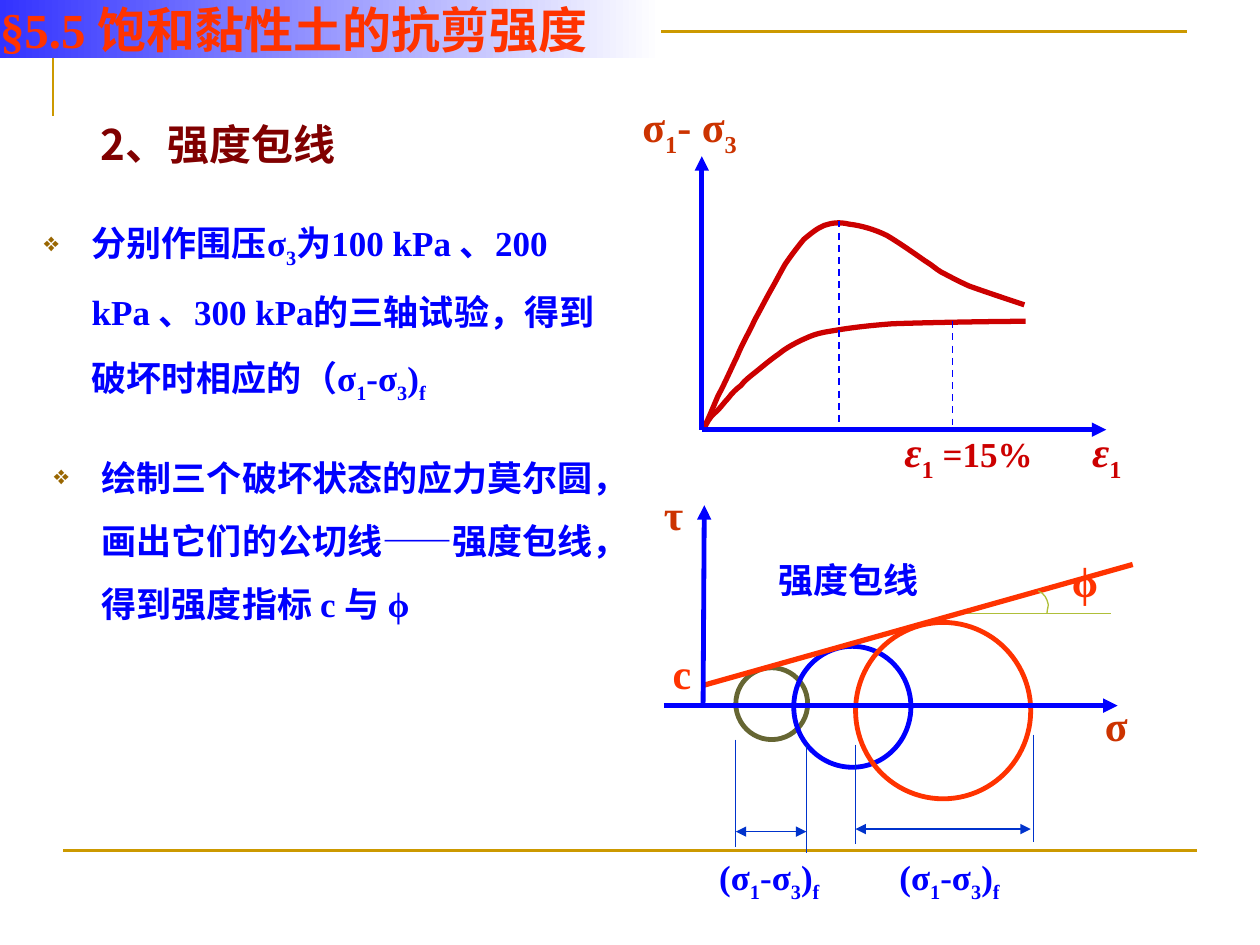
from lxml import etree
from pptx import Presentation
from pptx.dml.color import RGBColor
from pptx.enum.dml import MSO_LINE_DASH_STYLE as DASH
from pptx.enum.shapes import MSO_CONNECTOR, MSO_SHAPE
from pptx.enum.text import MSO_ANCHOR
from pptx.oxml.ns import qn
from pptx.util import Inches, Pt

COLORS = {
    "gold": "CC9900", "blue": "0000FF", "steel": "0033CC", "olive": "666633",
    "orange": "FF3300", "lime": "AFBF39", "red": "CC0000", "rust": "CC3300",
    "maroon": "800000", "bullet": "996600", "banner": "3333FF", "white": "FFFFFF",
}
SERIF = "Times New Roman"
DEVIATOR_AT_FAILURE = "(σ_1_-σ_3_)_f"

PEAK_CURVE = [
    (0.01, 2.16), (0.04, 2.12), (0.09, 1.99), (0.13, 1.9), (0.18, 1.81), (0.24, 1.67), (0.28, 1.59),
    (0.32, 1.49), (0.38, 1.39), (0.42, 1.3), (0.47, 1.21), (0.51, 1.13), (0.55, 1.06),
    (0.59, 0.99), (0.62, 0.93), (0.66, 0.86), (0.7, 0.8), (0.76, 0.72), (0.81, 0.66),
    (0.87, 0.61), (0.92, 0.57), (0.97, 0.55), (1.03, 0.53), (1.09, 0.52), (1.17, 0.54),
    (1.26, 0.55), (1.37, 0.58), (1.47, 0.63), (1.57, 0.69), (1.67, 0.76), (1.77, 0.83),
    (1.85, 0.88), (1.85, 0.89), (1.9, 0.92), (1.96, 0.95), (2.01, 0.98), (2.12, 1.03),
    (2.23, 1.07), (2.47, 1.15), (2.56, 1.18),
]
HARDENING_CURVE = [
    (0.02, 2.16), (0.03, 2.13), (0.07, 2.06), (0.1, 2.04), (0.14, 2.01), (0.17, 1.96), (0.21, 1.92),
    (0.24, 1.88), (0.27, 1.85), (0.31, 1.82), (0.34, 1.78), (0.38, 1.75), (0.43, 1.71),
    (0.48, 1.67), (0.55, 1.61), (0.61, 1.57), (0.67, 1.52), (0.73, 1.49), (0.79, 1.46),
    (0.86, 1.43), (0.89, 1.41), (1.01, 1.39), (1.13, 1.37), (1.25, 1.35), (1.51, 1.33),
    (1.77, 1.32), (2.34, 1.31), (2.57, 1.31),
]
FRICTION_ARC = [(2.97, 0.68), (3.02, 0.7), (3.04, 0.74), (3.05, 0.79),
                (3.04, 0.85), (3.04, 0.83), (3.04, 0.86)]


def rgb(name):
    return RGBColor.from_string(COLORS[name])


def set_line(shape, color, width):
    shape.line.color.rgb = rgb(color)
    shape.line.width = Pt(width)


def add_line(slide, start, end, color, width, arrows=(), dashed=False):
    """arrows holds "headEnd" for the start and "tailEnd" for the end."""
    line = slide.shapes.add_connector(
        MSO_CONNECTOR.STRAIGHT, *(Inches(v) for v in (*start, *end)))
    set_line(line, color, width)
    if dashed:
        line.line.dash_style = DASH.DASH
    for arrow in arrows:
        etree.SubElement(line.line._get_or_add_ln(), qn(f"a:{arrow}"), type="triangle")
    etree.SubElement(line._element.spPr, qn("a:effectLst"))


def add_path(slide, points, left, top, color, width, curved=False):
    """Open outline; when curved, each three points after the first make a Bezier segment."""
    (x0, y0), *rest = [(Inches(left + x), Inches(top + y)) for x, y in points]
    builder = slide.shapes.build_freeform(x0, y0)
    builder.add_line_segments(rest, close=False)
    outline = builder.convert_to_shape()
    outline.shadow.inherit = False
    outline.fill.background()
    set_line(outline, color, width)
    if curved:
        segments = list(outline._element.iter(qn("a:lnTo")))
        for first, second, third in zip(*[iter(segments)] * 3):
            bezier = etree.Element(qn("a:cubicBezTo"))
            first.addprevious(bezier)
            for segment in (first, second, third):
                bezier.append(segment[0])
                segment.getparent().remove(segment)


def write(paragraph, text, size, color, font=SERIF):
    """Every second part between underscores is a subscript."""
    for i, part in enumerate(text.split("_")):
        if not part:
            continue
        run = paragraph.add_run()
        run.text = part
        run.font.size, run.font.name, run.font.bold = Pt(size), font, True
        run.font.color.rgb = rgb(color)
        if i % 2:
            run.font._element.set("baseline", "-25000")


def add_label(slide, box, text, size, color, font=SERIF, wrap=True, spacing=None, inset=True):
    frame = slide.shapes.add_textbox(*(Inches(v) for v in box)).text_frame
    frame.word_wrap = wrap
    if not inset:
        frame.margin_left = frame.margin_right = frame.margin_top = frame.margin_bottom = 0
    paragraph = frame.paragraphs[0]
    if spacing:
        paragraph.line_spacing = spacing
    write(paragraph, text, size, color, font)
    return paragraph


def add_bullet(slide, box, text):
    paragraph = add_label(slide, box, text, 20, "blue", spacing=1.5)
    props = paragraph._p.get_or_add_pPr()
    props.set("marL", str(Inches(0.38)))
    props.set("indent", str(-Inches(0.38)))
    color = etree.SubElement(props, qn("a:buClr"))
    etree.SubElement(color, qn("a:srgbClr"), val=COLORS["bullet"])
    etree.SubElement(props, qn("a:buSzPct"), val="75000")
    etree.SubElement(props, qn("a:buChar"), char="❖")


def add_frame(slide, left, top):
    add_path(slide, [(0, 0.67), (0, 0), (9, 0)], left, top, "gold", 1.5)
    add_line(slide, (left + 0.08, top + 6.5), (left + 9.08, top + 6.5), "gold", 1.5)


def add_banner(slide, left, top, width, height):
    banner = slide.shapes.add_shape(
        MSO_SHAPE.RECTANGLE, *(Inches(v) for v in (left, top, width, height)))
    banner.shadow.inherit = False
    banner.line.fill.background()
    banner.fill.gradient()
    banner.fill.gradient_angle = 0
    for stop, color in zip(banner.fill.gradient_stops, ("banner", "white")):
        stop.color.rgb = rgb(color)
    frame = banner.text_frame
    frame.margin_left = frame.margin_right = frame.margin_top = frame.margin_bottom = 0
    frame.vertical_anchor = MSO_ANCHOR.BOTTOM
    frame.paragraphs[0].alignment = 1
    write(frame.paragraphs[0], "§5.5 饱和黏性土的抗剪强度", 28, "orange")


def add_steps(slide, left, top):
    add_label(slide, (left + 0.55, top, 2.2, 0.4), "2、强度包线", 24, "maroon",
              "Noto Sans CJK SC", inset=False)
    add_bullet(slide, (left, top + 0.58, 4.67, 1.52),
               "分别作围压σ_3_为100 kPa 、200 kPa 、300 kPa的三轴试验，得到破坏时相应的（σ_1_-σ_3_)_f")
    add_bullet(slide, (left + 0.08, top + 2.47, 4.58, 1.08),
               "绘制三个破坏状态的应力莫尔圆，画出它们的公切线——强度包线，得到强度指标 c 与 ϕ")


def add_stress_strain(slide, left, top):
    """left, top is the tip of the vertical axis."""
    base = top + 2.17
    for points in (PEAK_CURVE, HARDENING_CURVE):
        add_path(slide, points, left, top, "red", 3, curved=True)
    for x, y in ((1.09, 0.51), (1.99, 1.31)):
        add_line(slide, (left + x, top + y), (left + x, base), "blue", 1, dashed=True)
    for end in ((left, top), (left + 3.21, base)):
        add_line(slide, (left, base), end, "blue", 2.75, ["tailEnd"])
    add_label(slide, (left - 0.57, top - 0.49, 1.17, 0.5), "σ_1_- σ_3", 24, "rust")
    strain = add_label(slide, (left + 3, top + 2.09, 0.58, 0.5), "ε_1", 24, "red")
    limit = add_label(slide, (left + 1.51, top + 2.09, 1.25, 0.5), "ε_1_ =15%", 24, "red")
    for paragraph in (strain, limit):
        paragraph.runs[0].font.italic = True
    limit.runs[2].font.size = Pt(20)


def add_mohr_circles(slide, left, top):
    """left, top is the tip of the vertical axis."""
    axis = top + 1.59
    add_label(slide, (left + 0.5, top + 0.41, 1.5, 0.42), "强度包线", 20, "blue", "Arial",
              spacing=0.9)
    for x, y, width, height, color in ((0.26, 1.29, 0.57, 0.57, "olive"),
                                       (0.72, 1.12, 0.93, 0.96, "blue"),
                                       (1.21, 0.93, 1.39, 1.4, "orange")):
        circle = slide.shapes.add_shape(
            MSO_SHAPE.OVAL, *(Inches(v) for v in (left + x, top + y, width, height)))
        circle.shadow.inherit = False
        circle.fill.background()
        set_line(circle, color, 2.75)

    for x, y, length in ((0.26, 1.86, 0.85), (0.82, 1.9, 0.86),
                         (1.21, 1.9, 0.79), (2.62, 1.82, 0.85)):
        add_line(slide, (left + x, top + y), (left + x, top + y + length), "steel", 0.75)
    for x1, x2, y, label_x in ((0.26, 0.82, 2.59, 0.03), (1.21, 2.6, 2.57, 1.46)):
        add_line(slide, (left + x1, top + y), (left + x2, top + y), "steel", 0.75,
                 ["headEnd", "tailEnd"])
        add_label(slide, (left + label_x, top + 2.73, 1.06, 0.43), DEVIATOR_AT_FAILURE,
                  20, "blue", wrap=False)

    add_line(slide, (left + 2.04, top + 0.86), (left + 3.24, top + 0.86), "lime", 0.75)
    add_line(slide, (left, top + 1.43), (left + 3.41, top + 0.47), "orange", 3)
    add_path(slide, FRICTION_ARC, left - 0.31, top, "lime", 0.75, curved=True)
    add_line(slide, (left - 0.31, axis), (left + 3.29, axis), "blue", 2.75, ["tailEnd"])
    add_line(slide, (left, axis), (left + 0.01, top), "blue", 2.75, ["tailEnd"])
    add_label(slide, (left - 0.34, top + 1.27, 0.26, 0.28), "c", 24, "orange",
              wrap=False, spacing=0.45)
    add_label(slide, (left + 2.83, top + 0.54, 0.44, 0.28), "ϕ", 24, "orange", spacing=0.45)
    add_label(slide, (left - 0.41, top - 0.18, 0.67, 0.5), "τ", 24, "rust")
    add_label(slide, (left + 3.09, top + 1.49, 0.5, 0.5), "σ", 24, "rust")


def main():
    deck = Presentation()
    deck.slide_width, deck.slide_height = Inches(10), Inches(7.5)
    slide = deck.slides.add_slide(deck.slide_layouts[6])
    add_frame(slide, 0.42, 0.25)
    add_mohr_circles(slide, 5.58, 4.01)
    add_stress_strain(slide, 5.57, 1.24)
    add_steps(slide, 0.25, 0.94)
    add_banner(slide, 0, -0.01, 5.25, 0.47)
    deck.save("out.pptx")


if __name__ == "__main__":
    main()
